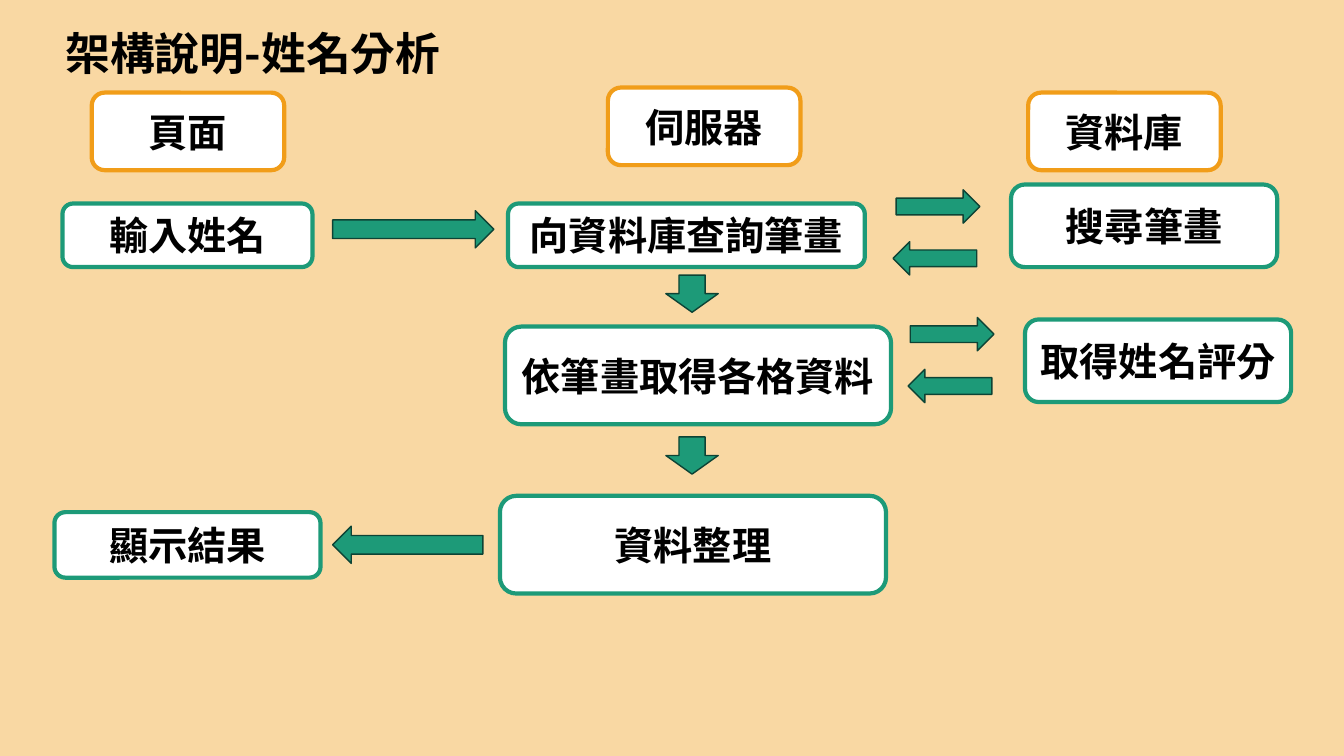
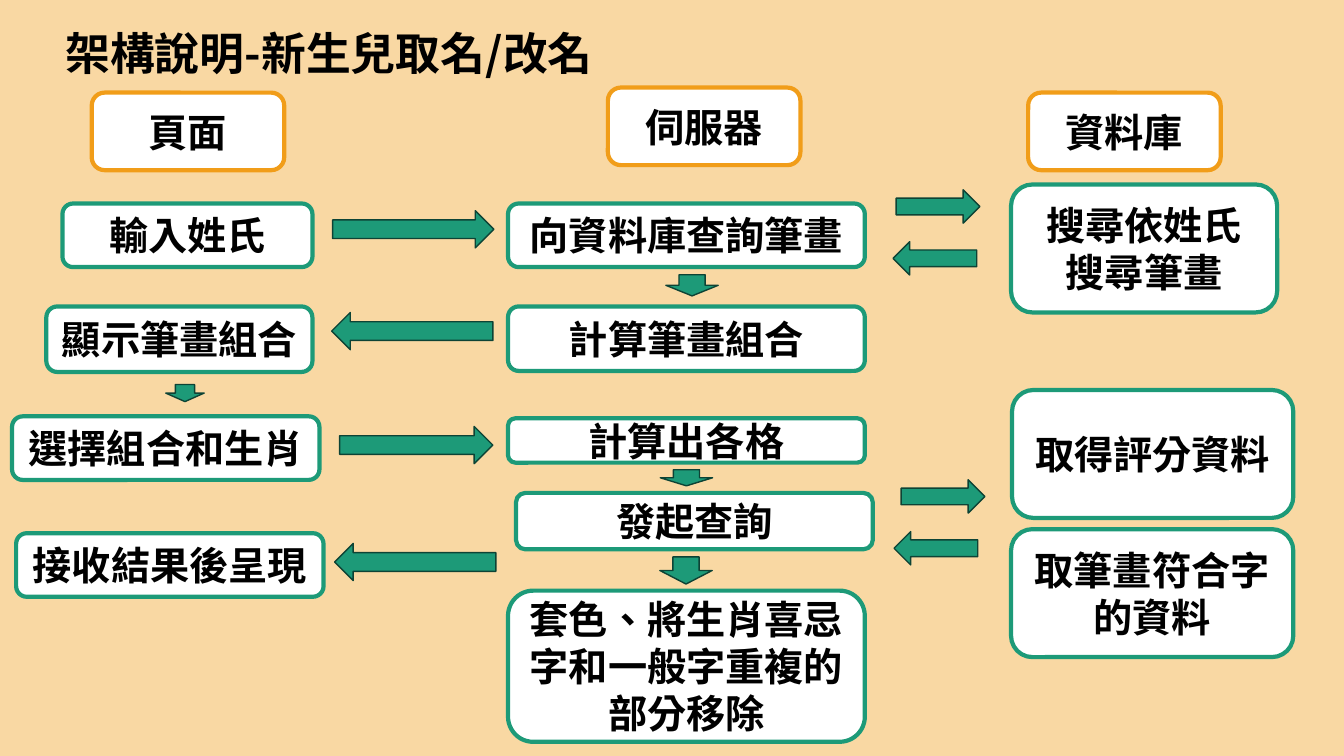
import pptx
import pptx.dml.color
import pptx.enum.shapes
import pptx.enum.text
import pptx.oxml.ns
import pptx.util
from lxml import etree

Pt = pptx.util.Pt
RGBColor = pptx.dml.color.RGBColor
Shape = pptx.enum.shapes.MSO_SHAPE
Align = pptx.enum.text.PP_ALIGN
Anchor = pptx.enum.text.MSO_ANCHOR

SAND = RGBColor(0xF9, 0xD8, 0xA3)
WHITE = RGBColor(0xFF, 0xFF, 0xFF)
BLACK = RGBColor(0, 0, 0)
ORANGE = RGBColor(0xF1, 0x9D, 0x19)
GREEN = RGBColor(0x1D, 0x9A, 0x78)
DARK_GREEN = RGBColor(0x0D, 0x43, 0x35)

FONT = "Noto Sans CJK SC"
LANGUAGE = "zh-TW"
TITLE_FONT = {"name": FONT, "size": Pt(32), "bold": True}
LABEL_FONT = {"name": FONT, "size": Pt(28), "bold": True}
LABEL_FRAME = {"word_wrap": True, "vertical_anchor": Anchor.MIDDLE}

RIGHT, DOWN, LEFT = 0, 90, 180
FLOW_HEIGHT = 26.6
EXCHANGE_SIZE = (59.8, 23.8)
DOWN_WIDTH = 37.4


def apply_format(target, values):
    for attribute, value in values.items():
        setattr(target, attribute, value)


def write(paragraph, text, font_values):
    run = paragraph.add_run()
    run.text = text
    apply_format(run.font, font_values)
    run.font.color.rgb = BLACK
    properties = run.font._element
    properties.set("lang", LANGUAGE)
    east_asian = etree.SubElement(properties, pptx.oxml.ns.qn("a:ea"))
    east_asian.set("typeface", FONT)


def add_figure(slide, preset, bounds, fill, outline, weight):
    figure = slide.shapes.add_shape(preset, *map(Pt, bounds))
    figure.shadow.inherit = False
    figure.fill.solid()
    figure.fill.fore_color.rgb = fill
    figure.line.color.rgb = outline
    figure.line.width = Pt(weight)
    return figure


def add_box(slide, text, left, top, width, height, outline=GREEN):
    bounds = (left, top, width, height)
    box = add_figure(slide, Shape.ROUNDED_RECTANGLE, bounds, WHITE, outline, 3)
    apply_format(box.text_frame, LABEL_FRAME)
    label = box.text_frame.paragraphs[0]
    label.alignment = Align.CENTER
    write(label, text, LABEL_FONT)


def add_arrow(slide, left, top, length, thickness=FLOW_HEIGHT, direction=RIGHT):
    bounds = (left, top, length, thickness)
    arrow = add_figure(slide, Shape.RIGHT_ARROW, bounds, GREEN, DARK_GREEN, 1)
    arrow.rotation = direction


def add_down_arrow(slide, center, middle, length, width=DOWN_WIDTH):
    add_arrow(slide, center - length / 2, middle - width / 2, length, width, DOWN)


def add_exchange(slide, request_left, reply_left, top):
    add_arrow(slide, request_left, top, *EXCHANGE_SIZE)
    add_arrow(slide, reply_left, top + 37, *EXCHANGE_SIZE, LEFT)


def add_title(slide, text):
    title = slide.shapes.add_textbox(Pt(39.6), Pt(15.1), Pt(435.6), Pt(46))
    title.text_frame.word_wrap = True
    write(title.text_frame.paragraphs[0], text, TITLE_FONT)


def add_flow_slide(deck, title, entry, lookup, lookup_height):
    slide = deck.slides.add_slide(deck.slide_layouts[6])
    add_title(slide, title)
    for role, left, top in (("頁面", 65.5, 66.2), ("伺服器", 434.2, 62.6), ("資料庫", 734.4, 66.2)):
        add_box(slide, role, left, top, 137.5, 55.4, ORANGE)
    add_box(slide, entry, 44.6, 145.4, 178.6, 45.4)
    add_arrow(slide, 237.6, 150.5, 115.2)
    add_box(slide, "向資料庫查詢筆畫", 362.9, 145.4, 254.9, 45.4)
    add_exchange(slide, 640.1, 637.9, 135.6)
    add_box(slide, lookup, 722.2, 131.8, 190.1, lookup_height)
    return slide


def build_name_analysis(deck):
    slide = add_flow_slide(deck, "架構說明-姓名分析", "輸入姓名", "搜尋筆畫", 59)
    add_down_arrow(slide, 494.3, 209.8, 26.6)
    add_box(slide, "依筆畫取得各格資料", 360.7, 233.3, 275.8, 69.8)
    add_exchange(slide, 650.2, 648.7, 226.8)
    add_box(slide, "取得姓名評分", 732.2, 228.2, 190.1, 59)
    add_down_arrow(slide, 494.3, 325.4, 26.6)
    add_box(slide, "資料整理", 357.1, 354.2, 275.8, 69.8)
    add_arrow(slide, 237.6, 375.8, 107.3, direction=LEFT)
    add_box(slide, "顯示結果", 38.9, 365.8, 190.1, 46.8)


def build_naming(deck):
    slide = add_flow_slide(deck, "架構說明-新生兒取名/改名", "輸入姓氏", "搜尋依姓氏搜尋筆畫", 91.4)

    for step, left, top, width, height in (
        ("顯示筆畫組合", 33.1, 218.9, 190.1, 46.8),
        ("選擇組合和生肖", 8.6, 297.4, 219.6, 45.4),
        ("接收結果後呈現", 11.5, 380.9, 219.6, 45.4),
        ("計算筆畫組合", 362.9, 218.9, 254.9, 46.1),
        ("計算出各格", 362.9, 298.8, 254.9, 31.7),
        ("發起查詢", 368.6, 352.1, 254.9, 40.3),
        ("套色、將生肖喜忌字和一般字重複的部分移除", 362.9, 421.9, 254.9, 108),
        ("取得評分資料", 722.9, 278.6, 200.9, 91.4),
        ("取筆畫符合字的資料", 722.2, 378, 201.6, 91.4),
    ):
        add_box(slide, step, left, top, width, height)

    add_arrow(slide, 236.9, 223.2, 115.2, direction=LEFT)
    add_arrow(slide, 242.6, 304.6, 109.4)
    add_arrow(slide, 239, 388.1, 115.2, direction=LEFT)
    add_exchange(slide, 643.7, 638.6, 342.7)

    add_down_arrow(slide, 494.3, 203.8, 15.1)
    add_down_arrow(slide, 132.1, 280.8, 12.2, 27.4)
    add_down_arrow(slide, 490.3, 341.3, 11.5)
    add_down_arrow(slide, 490, 407.5, 19.4)


def main():
    deck = pptx.Presentation()
    apply_format(deck, {"slide_width": Pt(960), "slide_height": Pt(540)})
    backdrop = deck.slide_master.background.fill
    backdrop.solid()
    backdrop.fore_color.rgb = SAND
    build_name_analysis(deck)
    build_naming(deck)
    deck.save("out.pptx")


if __name__ == "__main__":
    main()
